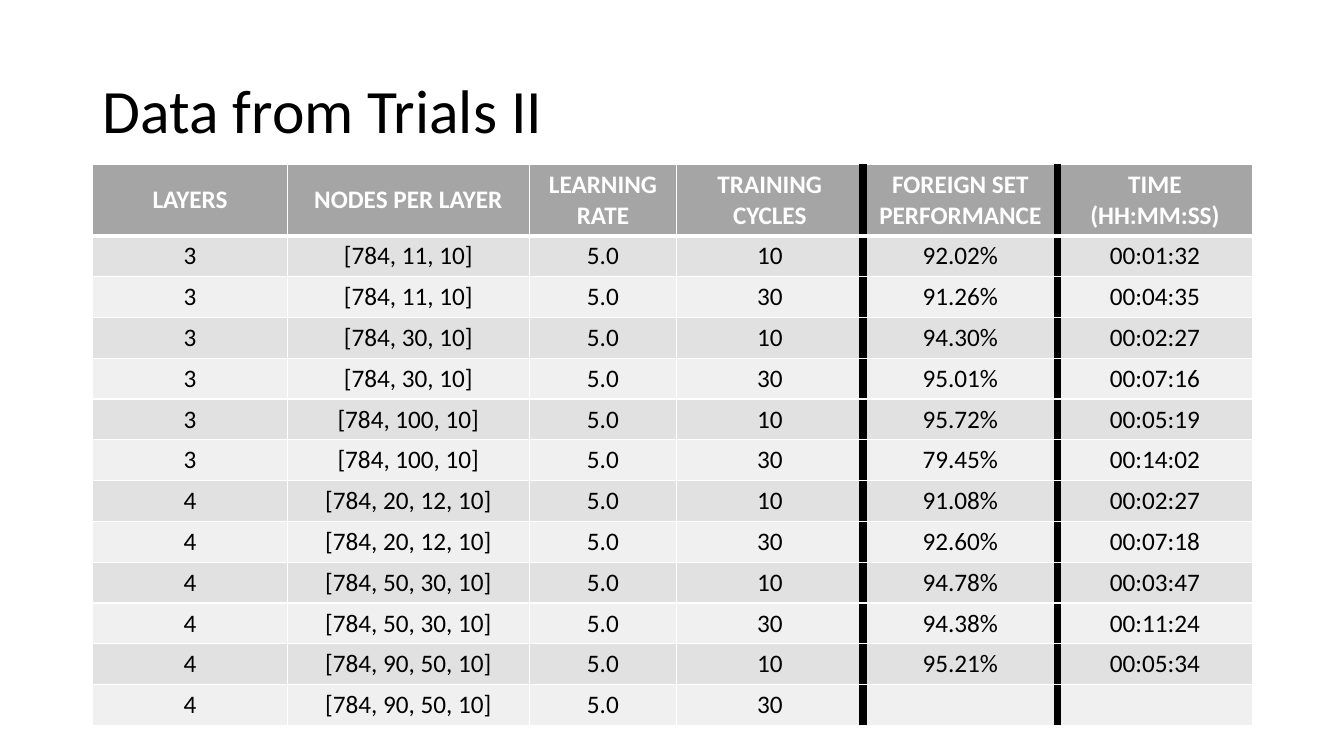
from dataclasses import astuple, dataclass

from lxml.etree import SubElement
from pptx import Presentation
from pptx.dml.color import RGBColor
from pptx.enum.text import MSO_ANCHOR, PP_ALIGN
from pptx.oxml.ns import qn
from pptx.slide import Slide
from pptx.table import _Cell
from pptx.text.text import TextFrame
from pptx.util import Inches, Pt

FONT = "Calibri"
BLACK, WHITE = "000000", "FFFFFF"
HEADER_FILL = "A5A5A5"
BAND_FILLS = ("E1E1E1", "F0F0F0")
HEADER_HEIGHT, TRIAL_HEIGHT = 0.71, 0.405
THICK_DIVIDERS = (4, 5)  # columns that start with a heavy black rule


@dataclass
class Column:
    """A heading and the width of its column in inches."""
    heading: str
    width: float


@dataclass
class Trial:
    """One training run, fields in column order."""
    layers: str
    nodes: str
    rate: str
    cycles: str
    performance: str
    time: str


COLUMNS = [
    Column("LAYERS", 1.93),
    Column("NODES PER LAYER", 2.4),
    Column("LEARNING RATE", 1.46),
    Column("TRAINING CYCLES", 1.85),
    Column("FOREIGN SET PERFORMANCE", 1.93),
    Column("TIME (HH:MM:SS)", 1.93),
]

# Each network is trained for 10 and then 30 cycles.
RESULTS = {
    (784, 11, 10): (("92.02%", "00:01:32"), ("91.26%", "00:04:35")),
    (784, 30, 10): (("94.30%", "00:02:27"), ("95.01%", "00:07:16")),
    (784, 100, 10): (("95.72%", "00:05:19"), ("79.45%", "00:14:02")),
    (784, 20, 12, 10): (("91.08%", "00:02:27"), ("92.60%", "00:07:18")),
    (784, 50, 30, 10): (("94.78%", "00:03:47"), ("94.38%", "00:11:24")),
    (784, 90, 50, 10): (("95.21%", "00:05:34"), ("", "")),
}
TRIALS = [
    Trial(str(len(network)), str(list(network)), "5.0", cycles, *result)
    for network, results in RESULTS.items()
    for cycles, result in zip(("10", "30"), results)
]


def rgb(color: str) -> RGBColor:
    """Turn a hex string into a colour."""
    return RGBColor.from_string(color)


def write(frame: TextFrame, text: str, size: float, color: str,
          align: PP_ALIGN, bold: bool = False) -> None:
    """Write one run in the first paragraph of a text frame."""
    paragraph = frame.paragraphs[0]
    paragraph.alignment = align
    paragraph.font.size = Pt(size)
    if text:
        run = paragraph.add_run()
        run.text = text
        run.font.name, run.font.size, run.font.bold = FONT, Pt(size), bold
        run.font.color.rgb = rgb(color)


def add_border(cell: _Cell, side: str, color: str, width: float) -> None:
    """Add one cell border; call in the order L, R, T, B before the fill."""
    line = SubElement(cell._tc.get_or_add_tcPr(), qn(f"a:ln{side}"), w=str(Pt(width)))
    fill = SubElement(line, qn("a:solidFill"))
    SubElement(fill, qn("a:srgbClr"), val=color)


def style_cell(cell: _Cell, column: int, is_header: bool, fill: str) -> None:
    """Set the borders, fill and anchor of a cell."""
    thin, thick = (WHITE, 1), (BLACK, 6)
    add_border(cell, "L", *(thick if column in THICK_DIVIDERS else thin))
    add_border(cell, "R", *(thick if column + 1 in THICK_DIVIDERS else thin))
    add_border(cell, "T", *thin)
    add_border(cell, "B", WHITE, 3 if is_header else 1)
    cell.fill.solid()
    cell.fill.fore_color.rgb = rgb(fill)
    cell.vertical_anchor = MSO_ANCHOR.MIDDLE


def add_title(slide: Slide, text: str) -> None:
    """Add the slide heading."""
    heading = slide.shapes.add_textbox(Inches(0.92), Inches(0.4), Inches(11.5), Inches(1.45))
    frame = heading.text_frame
    frame.word_wrap = True
    frame.vertical_anchor = MSO_ANCHOR.MIDDLE
    frame.paragraphs[0].line_spacing = 0.9
    write(frame, text, 44, BLACK, PP_ALIGN.LEFT)


def add_trials(slide: Slide) -> None:
    """Add the table of trial results."""
    rows = [tuple(column.heading for column in COLUMNS), *map(astuple, TRIALS)]
    height = HEADER_HEIGHT + TRIAL_HEIGHT * len(TRIALS)
    table = slide.shapes.add_table(len(rows), len(COLUMNS), Inches(0.92), Inches(1.63),
                                   Inches(11.5), Inches(height)).table
    table.horz_banding = False
    for index, column in enumerate(COLUMNS):
        table.columns[index].width = Inches(column.width)
    for r, values in enumerate(rows):
        is_header = r == 0
        table.rows[r].height = Inches(HEADER_HEIGHT if is_header else TRIAL_HEIGHT)
        fill = HEADER_FILL if is_header else BAND_FILLS[(r - 1) % 2]
        for c, value in enumerate(values):
            cell = table.cell(r, c)
            style_cell(cell, c, is_header, fill)
            write(cell.text_frame, value, 18, WHITE if is_header else BLACK,
                  PP_ALIGN.CENTER, is_header)


def main() -> None:
    """Build and save the slide."""
    deck = Presentation()
    deck.slide_width, deck.slide_height = Inches(13.33), Inches(7.5)
    slide = deck.slides.add_slide(deck.slide_layouts[6])
    add_title(slide, "Data from Trials II")
    add_trials(slide)
    deck.save("out.pptx")


main()
